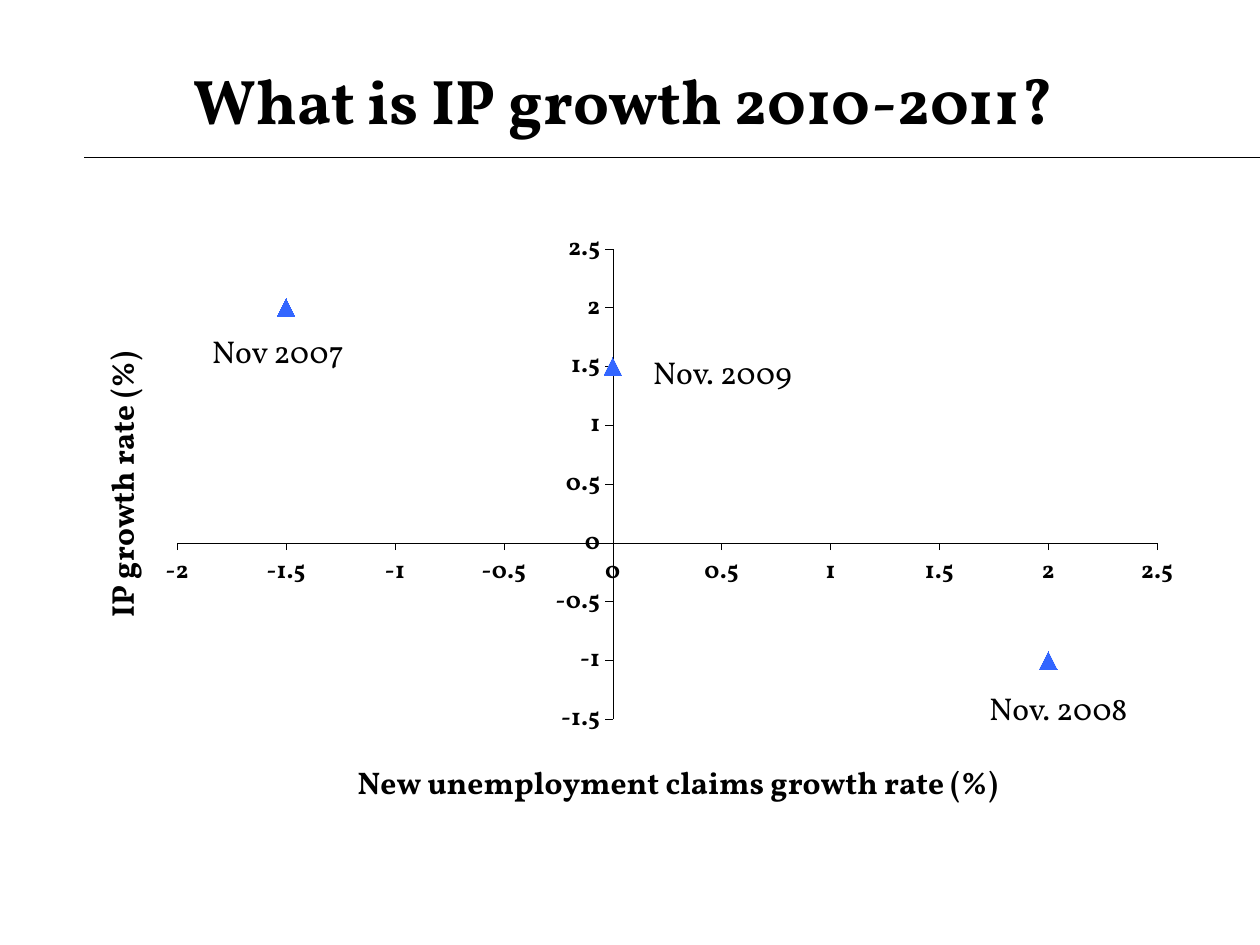
"""Build the slide that asks what IP growth will be in 2010-2011."""
from lxml.etree import SubElement as Sub
from pptx import Presentation
from pptx.chart.data import XyChartData
from pptx.dml.color import RGBColor as Rgb
from pptx.enum.chart import XL_CHART_TYPE as Kind, XL_MARKER_STYLE as Mark, XL_TICK_MARK as Tick
from pptx.enum.shapes import MSO_CONNECTOR as Link
from pptx.enum.text import MSO_ANCHOR as Anchor, PP_ALIGN as Align
from pptx.oxml.ns import qn
from pptx.util import Cm, Pt

HUES = {"ink": "000000", "mark": "3366FF"}
FACE = "Vollkorn"


def style(font, size, bold):
    font.name, font.size, font.bold = FACE, Pt(size), bold
    font.color.rgb = Rgb.from_string(HUES["ink"])


def place(node, spot, **vals):
    for old in node.findall(qn("c:layout")):
        node.remove(old)
    lay = node.makeelement(qn("c:layout"))
    node.insert(spot, lay)
    box = Sub(lay, qn("c:manualLayout"))
    for tag, val in vals.items():
        Sub(box, qn("c:" + tag)).set("val", str(val))


deck = Presentation()
deck.slide_width, deck.slide_height = Cm(25.4), Cm(19.05)
slide = deck.slides.add_slide(deck.slide_layouts[6])
shapes = slide.shapes

rule = shapes.add_connector(Link.STRAIGHT, Cm(1.7), Cm(3.17), Cm(25.4), Cm(3.17))
rule.line.width = Pt(0.75)
rule.line.color.rgb = Rgb.from_string(HUES["ink"])
Sub(rule.element.spPr, qn("a:effectLst"))

head = shapes.add_textbox(Cm(1.27), Cm(0.84), Cm(22.86), Cm(2.34)).text_frame
head.word_wrap = True
head.vertical_anchor = Anchor.MIDDLE
para = head.paragraphs[0]
para.alignment = Align.CENTER
run = para.add_run()
run.text = "What is IP growth 2010-2011? "
style(run.font, 36, True)

data = XyChartData()
points = data.add_series("Series 1")
for x, y in [(-1.5, 2), (2, -1), (0, 1.5)]:
    points.add_data_point(x, y)
chart = shapes.add_chart(
    Kind.XY_SCATTER, Cm(1.45), Cm(4.17), Cm(22.58), Cm(12.32), data
).chart
chart.has_legend = chart.has_title = False
style(chart.font, 18, True)
chart.font.name = "Arial"
place(chart.plots[0]._element.getparent(), 0, layoutTarget="inner", xMode="edge",
      yMode="edge", x=0.094, y=0.069, w=0.875, h=0.773)

plot = chart.plots[0]
plot.vary_by_categories = False
series = plot.series[0]
series.smooth = False
series.format.line.fill.background()
series.marker.style, series.marker.size = Mark.TRIANGLE, 10
look = series.marker.format
look.fill.solid()
look.fill.fore_color.rgb = Rgb.from_string(HUES["mark"])
look.line.color.rgb = Rgb.from_string(HUES["mark"])

AXES = [
    (chart.category_axis, "New unemployment claims growth rate (%)", -2, 0.25, 0.9, "0"),
    (chart.value_axis, "IP growth rate (%)", -1.5, 0.02, 0.23, "-5400000"),
]
for axis, name, low, left, top, turn in AXES:
    axis.minimum_scale, axis.maximum_scale, axis.major_unit = low, 2.5, 0.5
    axis.has_major_gridlines = False
    axis.major_tick_mark, axis.minor_tick_mark = Tick.OUTSIDE, Tick.NONE
    axis.tick_labels.number_format = "General"
    axis.tick_labels.number_format_is_linked = False
    style(axis.tick_labels.font, 14, True)
    axis.format.line.width = Pt(0.25)
    axis.format.line.color.rgb = Rgb.from_string(HUES["ink"])
    frame = axis.axis_title.text_frame
    frame._txBody.bodyPr.set("rot", turn)
    frame._txBody.bodyPr.set("vert", "horz")
    run = frame.paragraphs[0].add_run()
    run.text = name
    style(run.font, 18, True)
    place(axis.axis_title._element, 1, xMode="edge", yMode="edge", x=left, y=top)

NOTES = [("Nov 2007", 4.02, 6.56), ("Nov. 2008", 19.69, 13.76), ("Nov. 2009", 12.91, 6.99)]
for text, left, top in NOTES:
    frame = shapes.add_textbox(Cm(left), Cm(top), Cm(4.02), Cm(1.02)).text_frame
    frame.word_wrap = True
    run = frame.paragraphs[0].add_run()
    run.text = text
    style(run.font, 18, False)

deck.save("out.pptx")
